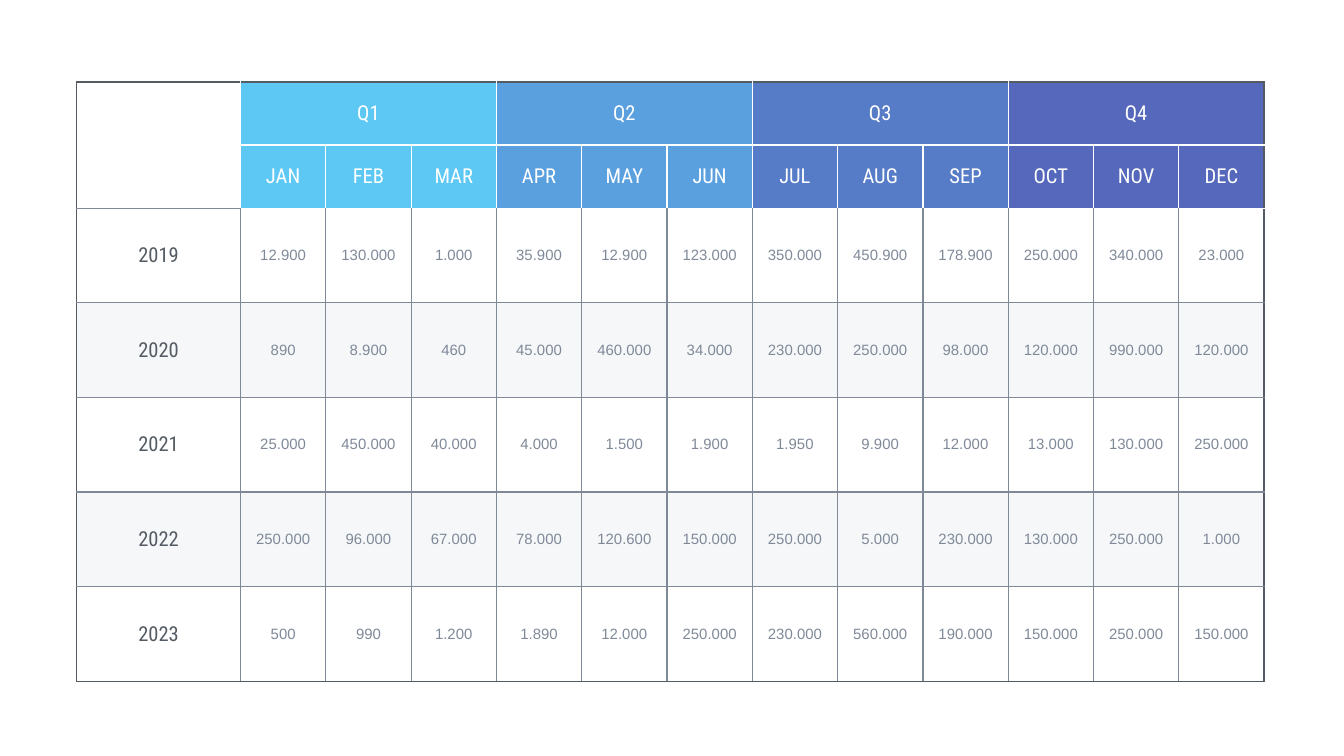
from dataclasses import dataclass

from lxml.etree import SubElement
from pptx import Presentation
from pptx.dml.color import RGBColor as RGB
from pptx.enum.text import MSO_ANCHOR as Anchor, PP_ALIGN as Align
from pptx.oxml.ns import qn
from pptx.table import Table, _Cell as Cell
from pptx.util import Inches, Pt


@dataclass(frozen=True)
class Theme:
    white: str = "FFFFFF"
    dark: str = "545B63"
    grey: str = "7F8998"
    band: str = "EEF0F4"
    head_font: str = "Roboto Condensed"
    body_font: str = "Arial"
    head_size: float = 11
    body_size: float = 8
    line: float = 0.75


@dataclass(frozen=True)
class Quarter:
    name: str
    months: tuple[str, ...]
    color: str


@dataclass(frozen=True)
class Year:
    name: str
    values: str


@dataclass(frozen=True)
class Style:
    font: str
    size: float
    color: str


@dataclass(frozen=True)
class Grid:
    """Slide and table geometry in inches."""
    slide_width: float = 10
    slide_height: float = 10 * 9 / 16
    left: float = 0.57
    top: float = 0.61
    width: float = 8.84
    height: float = 4.46
    label_width: float = 1.22
    head_height: float = 0.47
    head_rows: int = 2


T = Theme()
G = Grid()
HEAD = Style(T.head_font, T.head_size, T.white)
LABEL = Style(T.head_font, T.head_size, T.dark)
BODY = Style(T.body_font, T.body_size, T.grey)

QUARTERS = (
    Quarter("Q1", ("JAN", "FEB", "MAR"), "5EC8F5"),
    Quarter("Q2", ("APR", "MAY", "JUN"), "5AA0DF"),
    Quarter("Q3", ("JUL", "AUG", "SEP"), "567BC7"),
    Quarter("Q4", ("OCT", "NOV", "DEC"), "5568BC"),
)
YEARS = (
    Year("2019", "12.900 130.000 1.000 35.900 12.900 123.000 "
                 "350.000 450.900 178.900 250.000 340.000 23.000"),
    Year("2020", "890 8.900 460 45.000 460.000 34.000 "
                 "230.000 250.000 98.000 120.000 990.000 120.000"),
    Year("2021", "25.000 450.000 40.000 4.000 1.500 1.900 "
                 "1.950 9.900 12.000 13.000 130.000 250.000"),
    Year("2022", "250.000 96.000 67.000 78.000 120.600 150.000 "
                 "250.000 5.000 230.000 130.000 250.000 1.000"),
    Year("2023", "500 990 1.200 1.890 12.000 250.000 "
                 "230.000 560.000 190.000 150.000 250.000 150.000"),
)
ROWS = G.head_rows + len(YEARS)
COLS = 1 + sum(len(q.months) for q in QUARTERS)


def fill_cell(cell: Cell, color: str, alpha: int = 100) -> None:
    cell.fill.solid()
    cell.fill.fore_color.rgb = RGB.from_string(color)
    if alpha < 100:
        clr = cell._tc.tcPr.find(f"{qn('a:solidFill')}/{qn('a:srgbClr')}")
        SubElement(clr, qn("a:alpha"), val=str(alpha * 1000))


def write_cell(cell: Cell, text: str, style: Style) -> None:
    cell.vertical_anchor = Anchor.MIDDLE
    cell.margin_left = cell.margin_right = Inches(0.04)
    cell.margin_top = cell.margin_bottom = Inches(0.02)
    p = cell.text_frame.paragraphs[0]
    p.alignment = Align.CENTER
    r = p.add_run()
    r.text = text
    r.font.name = style.font
    r.font.size = Pt(style.size)
    r.font.color.rgb = RGB.from_string(style.color)


def row_line(edge: int, col: int) -> str:
    """Colour of a horizontal grid line where it crosses a column."""
    if edge in (0, ROWS):
        return T.dark
    return T.white if edge <= G.head_rows and col > 0 else T.grey


def column_line(edge: int, row: int) -> str:
    """Colour of a vertical grid line where it crosses a row."""
    if edge in (0, COLS):
        return T.dark
    return T.white if row < G.head_rows else T.grey


def draw_borders(cell: Cell, row: int, col: int) -> None:
    tc_pr = cell._tc.get_or_add_tcPr()
    sides = {
        "a:lnL": column_line(col, row),
        "a:lnR": column_line(col + cell.span_width, row),
        "a:lnT": row_line(row, col),
        "a:lnB": row_line(row + cell.span_height, col),
    }
    for tag, color in sides.items():
        ln = SubElement(tc_pr, qn(tag), w=str(Pt(T.line)))
        SubElement(SubElement(ln, qn("a:solidFill")), qn("a:srgbClr"), val=color)
        SubElement(ln, qn("a:prstDash"), val="solid")


def size_grid(table: Table) -> None:
    month_width = (G.width - G.label_width) / (COLS - 1)
    year_height = (G.height - G.head_rows * G.head_height) / len(YEARS)
    for i, column in enumerate(table.columns):
        column.width = Inches(month_width if i else G.label_width)
    for i, row in enumerate(table.rows):
        row.height = Inches(G.head_height if i < G.head_rows else year_height)


def merge_headers(table: Table) -> None:
    table.cell(0, 0).merge(table.cell(G.head_rows - 1, 0))
    col = 1
    for q in QUARTERS:
        table.cell(0, col).merge(table.cell(0, col + len(q.months) - 1))
        col += len(q.months)


def fill_headers(table: Table) -> None:
    table.cell(0, 0).fill.background()
    col = 1
    for q in QUARTERS:
        heads = [(0, col, q.name)]
        heads += [(1, col + i, month) for i, month in enumerate(q.months)]
        for row, c, text in heads:
            write_cell(table.cell(row, c), text, HEAD)
            fill_cell(table.cell(row, c), q.color)
        col += len(q.months)


def fill_years(table: Table) -> None:
    for i, year in enumerate(YEARS):
        banded, last = i % 2 == 1, i == len(YEARS) - 1
        for col, text in enumerate((year.name, *year.values.split())):
            cell = table.cell(G.head_rows + i, col)
            write_cell(cell, text, BODY if col else LABEL)
            fill_cell(cell, T.band if banded else T.white,
                      50 if banded or last else 100)


def main() -> None:
    prs = Presentation()
    prs.slide_width = Inches(G.slide_width)
    prs.slide_height = Inches(G.slide_height)
    s = prs.slides.add_slide(prs.slide_layouts[6])
    frame = (Inches(v) for v in (G.left, G.top, G.width, G.height))
    table = s.shapes.add_table(ROWS, COLS, *frame).table
    table.first_row = table.horz_banding = False
    size_grid(table)
    merge_headers(table)
    for row in range(ROWS):
        for col in range(COLS):
            cell = table.cell(row, col)
            if not cell.is_spanned:
                draw_borders(cell, row, col)
    fill_headers(table)
    fill_years(table)
    prs.save("out.pptx")


if __name__ == "__main__":
    main()
